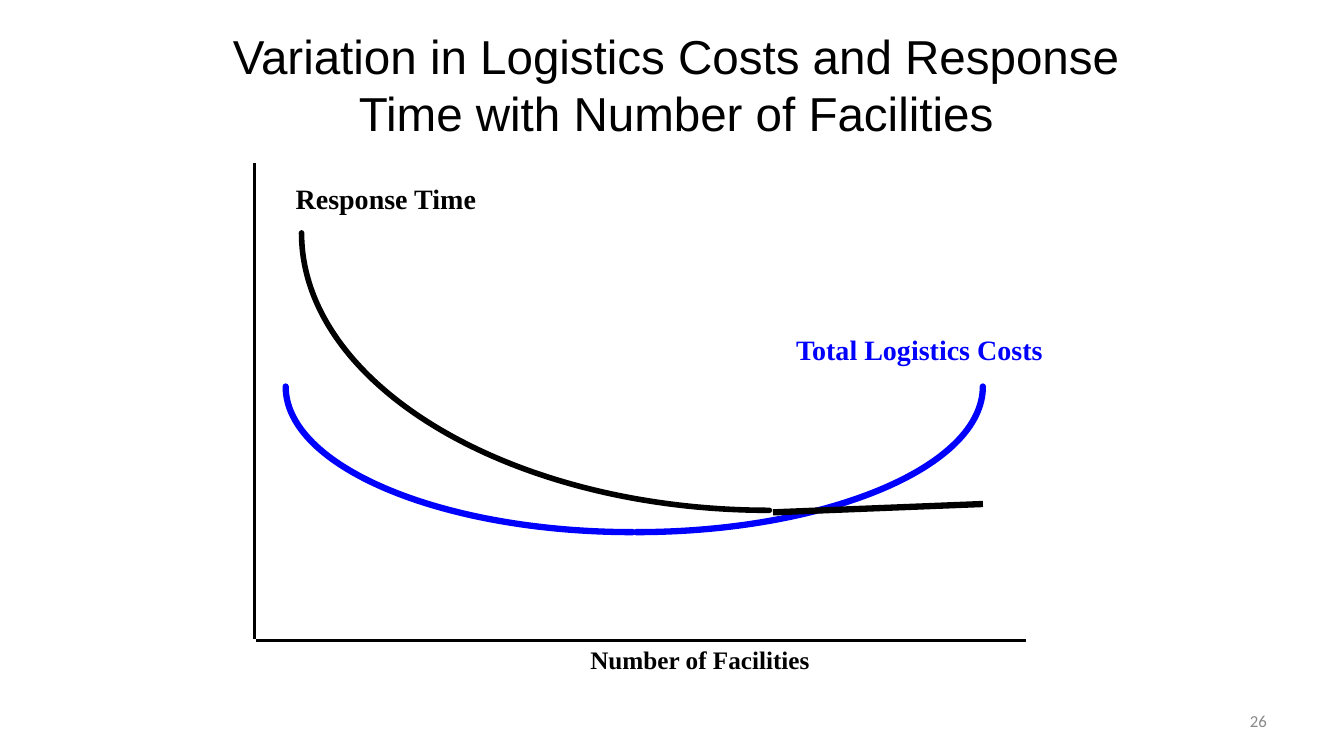
from dataclasses import dataclass

from lxml.etree import SubElement
from pptx import Presentation
from pptx.dml.color import RGBColor as Rgb
from pptx.enum.shapes import MSO_CONNECTOR as Link
from pptx.enum.text import MSO_ANCHOR as Anchor, MSO_AUTO_SIZE as Auto, PP_ALIGN as Align
from pptx.oxml.ns import qn
from pptx.slide import Slide
from pptx.util import Cm, Pt

COLORS = {"black": "000000", "blue": "0000FF", "gray": "898989"}
KAPPA = 0.55  # control distance that makes a cubic follow a quarter ellipse


@dataclass
class Label:
    text: str
    left: float
    top: float
    width: float
    height: float
    size: float
    font: str = "Times New Roman"
    color: str = "black"
    bold: bool = True
    align: Align = Align.CENTER
    anchor: Anchor = Anchor.TOP
    wrap: bool = False
    inset: tuple[float, float] = (0.25, 0.13)


@dataclass
class Line:
    x1: float
    y1: float
    x2: float
    y2: float
    weight: float


@dataclass
class Curve:
    """Lower quarter of an ellipse; side is -1 for left, 1 for right."""
    x: float
    y: float
    rx: float
    ry: float
    side: int
    color: str
    weight: float


LABELS = [
    Label("26", 24.28, 17.65, 7.9, 1.02, 12, "Calibri", "gray", False,
          Align.RIGHT, Anchor.MIDDLE, True),
    Label("Response Time", 7.2, 4.45, 6.15, 1.09, 20, align=Align.LEFT, wrap=True),
    Label("Variation in Logistics Costs and Response Time with Number of Facilities",
          4.66, 0.43, 24.77, 3.18, 34, "Arial", bold=False,
          anchor=Anchor.BOTTOM, wrap=True, inset=(0.13, 0.05)),
    Label("Number of Facilities", 14.59, 16.1, 6.1, 1.02, 18),
    Label("Total Logistics Costs", 19.79, 8.26, 6.76, 1.09, 20, color="blue"),
]
AXES = [Line(6.42, 4.11, 6.42, 16.1, 2), Line(6.45, 16.13, 25.86, 16.13, 2)]
CURVES = [
    Curve(19.39, 5.87, 11.79, 6.99, -1, "black", 4),
    Curve(16.03, 9.74, 8.74, 3.67, 1, "blue", 4.5),
    Curve(15.95, 9.74, 8.75, 3.67, -1, "blue", 4.5),
]
TAIL = Line(19.48, 12.91, 24.77, 12.7, 4.5)


def rgb(name: str) -> Rgb:
    return Rgb.from_string(COLORS[name])


def add_label(slide: Slide, label: Label) -> None:
    box = slide.shapes.add_textbox(Cm(label.left), Cm(label.top),
                                   Cm(label.width), Cm(label.height))
    frame = box.text_frame
    frame.text = label.text
    frame.word_wrap = label.wrap
    frame.auto_size = Auto.NONE
    frame.vertical_anchor = label.anchor
    frame.margin_left = frame.margin_right = Cm(label.inset[0])
    frame.margin_top = frame.margin_bottom = Cm(label.inset[1])
    para = frame.paragraphs[0]
    para.alignment = label.align
    font = para.runs[0].font
    font.name, font.size, font.bold = label.font, Pt(label.size), label.bold
    font.color.rgb = rgb(label.color)


def add_line(slide: Slide, line: Line) -> None:
    link = slide.shapes.add_connector(Link.STRAIGHT, Cm(line.x1), Cm(line.y1),
                                      Cm(line.x2), Cm(line.y2))
    link.line.color.rgb = rgb("black")
    link.line.width = Pt(line.weight)
    SubElement(link._element.spPr, qn("a:effectLst"))


def add_curve(slide: Slide, curve: Curve) -> None:
    points = [(Cm(curve.x + curve.side * curve.rx * dx), Cm(curve.y + curve.ry * dy))
              for dx, dy in [(1, 0), (1, KAPPA), (KAPPA, 1), (0, 1)]]
    pen = slide.shapes.build_freeform(*points[0])
    pen.add_line_segments(points[1:], close=False)
    shape = pen.convert_to_shape()
    steps = list(shape._element.iter(qn("a:lnTo")))
    bend = SubElement(steps[0].getparent(), qn("a:cubicBezTo"))
    for step in steps:
        bend.append(step[0])
        step.getparent().remove(step)
    shape.shadow.inherit = False
    shape.fill.background()
    shape.line.color.rgb = rgb(curve.color)
    shape.line.width = Pt(curve.weight)
    stroke = shape.line._get_or_add_ln()
    stroke.set("cap", "rnd")
    SubElement(stroke, qn("a:round"))


def main() -> None:
    deck = Presentation()
    deck.slide_width, deck.slide_height = Cm(33.87), Cm(19.05)
    slide = deck.slides.add_slide(deck.slide_layouts[6])
    for label in LABELS:
        add_label(slide, label)
    for axis in AXES:
        add_line(slide, axis)
    for curve in CURVES:
        add_curve(slide, curve)
    add_line(slide, TAIL)
    deck.save("out.pptx")


if __name__ == "__main__":
    main()
